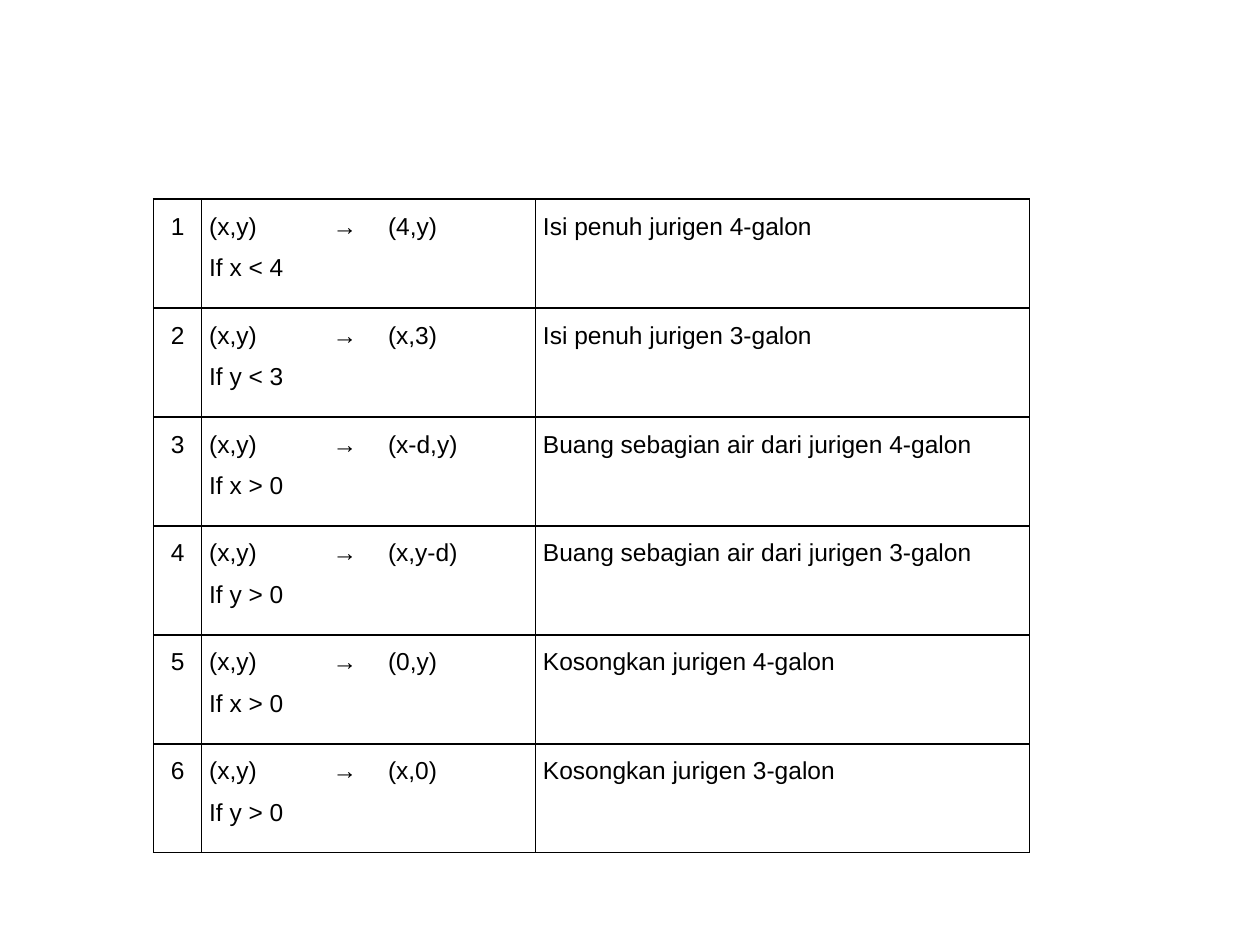
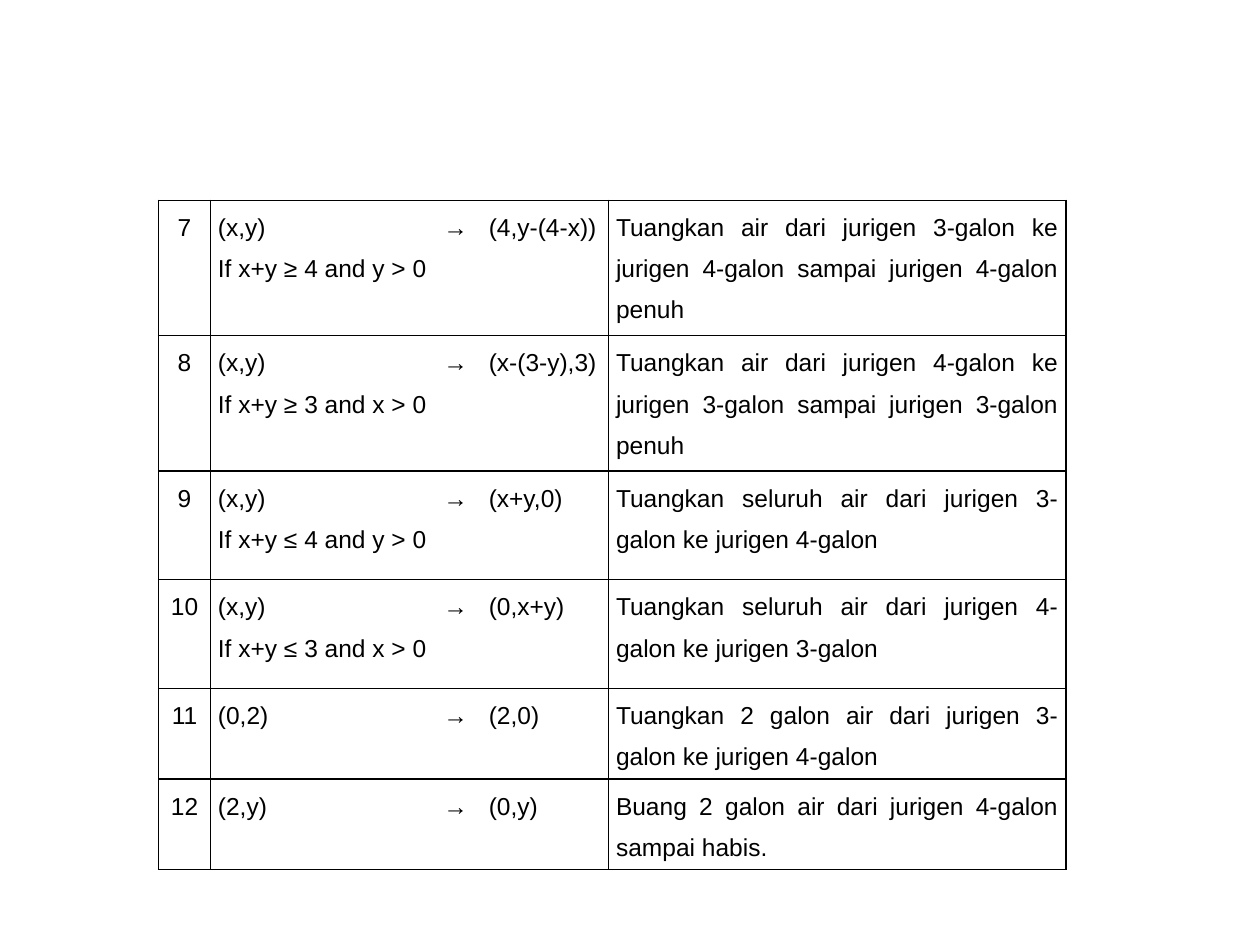
from dataclasses import dataclass

import pptx
import pptx.dml.color
import pptx.enum.text
import pptx.oxml
import pptx.oxml.ns
import pptx.util
from lxml import etree


@dataclass(frozen=True)
class Theme:
    font: str = "Arial"
    size: int = 14
    ink: str = "000000"
    paper: str = "FFFFFF"
    border: float = 1
    line_spacing: float = 1.5
    cell_margin: float = 0.06
    number_indent: float = 0.38


THEME = Theme()
ALIGN = pptx.enum.text.PP_ALIGN
NUMBER, STATE, ARROW, RESULT, ACTION = range(5)

# Left, top, column widths and row heights are percentages of the slide.
RULE_SETS = [
    dict(
        left=12.2, top=21.07,
        columns=[3.8, 9.8, 4.4, 12.3, 39.2],
        rows=[11.53] * 6,
        rules=[
            ("1", "(x,y)", "If x < 4", "(4,y)", "Isi penuh jurigen 4-galon"),
            ("2", "(x,y)", "If y < 3", "(x,3)", "Isi penuh jurigen 3-galon"),
            ("3", "(x,y)", "If x > 0", "(x-d,y)", "Buang sebagian air dari jurigen 4-galon"),
            ("4", "(x,y)", "If y > 0", "(x,y-d)", "Buang sebagian air dari jurigen 3-galon"),
            ("5", "(x,y)", "If x > 0", "(0,y)", "Kosongkan jurigen 4-galon"),
            ("6", "(x,y)", "If y > 0", "(x,0)", "Kosongkan jurigen 3-galon"),
        ],
    ),
    dict(
        left=12.6, top=21.2,
        columns=[4.1, 17.9, 3.6, 10.1, 36.3],
        rows=[14.33, 14.33, 11.5, 11.5, 9.6, 9.6],
        rules=[
            ("7", "(x,y)", "If x+y ≥ 4 and y > 0", "(4,y-(4-x))",
             "Tuangkan air dari jurigen 3-galon ke jurigen 4-galon sampai jurigen 4-galon penuh"),
            ("8", "(x,y)", "If x+y ≥ 3 and x > 0", "(x-(3-y),3)",
             "Tuangkan air dari jurigen 4-galon ke jurigen 3-galon sampai jurigen 3-galon penuh"),
            ("9", "(x,y)", "If x+y ≤ 4 and y > 0", "(x+y,0)",
             "Tuangkan seluruh air dari jurigen 3-galon ke jurigen 4-galon"),
            ("10", "(x,y)", "If x+y ≤ 3 and x > 0", "(0,x+y)",
             "Tuangkan seluruh air dari jurigen 4-galon ke jurigen 3-galon"),
            ("11", "(0,2)", None, "(2,0)",
             "Tuangkan 2 galon air dari jurigen 3-galon ke jurigen 4-galon"),
            ("12", "(2,y)", None, "(0,y)",
             "Buang 2 galon air dari jurigen 4-galon sampai habis."),
        ],
    ),
]


def set_borders(cell, open_sides):
    """Draw the four cell borders, leaving out the sides named in open_sides."""
    properties = cell._tc.get_or_add_tcPr()
    for position, side in enumerate("LRTB"):
        line = pptx.oxml.parse_xml(
            f'<a:ln{side} {pptx.oxml.ns.nsdecls("a")} w="{pptx.util.Pt(THEME.border)}"/>')
        if side in open_sides:
            etree.SubElement(line, pptx.oxml.ns.qn("a:noFill"))
        else:
            fill = etree.SubElement(line, pptx.oxml.ns.qn("a:solidFill"))
            etree.SubElement(fill, pptx.oxml.ns.qn("a:srgbClr"), val=THEME.ink)
        properties.insert(position, line)


def write_cell(cell, lines, column):
    cell.fill.background()
    cell.margin_left = cell.margin_right = pptx.util.Inches(THEME.cell_margin)
    cell.margin_top = cell.margin_bottom = 0
    for index, text in enumerate(lines):
        frame = cell.text_frame
        paragraph = frame.add_paragraph() if index else frame.paragraphs[0]
        paragraph.line_spacing = THEME.line_spacing
        paragraph.alignment = ALIGN.JUSTIFY
        if column == NUMBER:
            paragraph.alignment = ALIGN.CENTER
            indent = pptx.util.Inches(THEME.number_indent)
            paragraph._p.get_or_add_pPr().set("marL", str(indent))
            paragraph._p.get_or_add_pPr().set("indent", str(-indent))
        run = paragraph.add_run()
        run.text = text
        run.font.name = THEME.font
        run.font.size = pptx.util.Pt(THEME.size)
        run.font.bold = False
        run.font.color.rgb = pptx.dml.color.RGBColor.from_string(THEME.ink)


deck = pptx.Presentation()
deck.slide_width = pptx.util.Inches(10)
deck.slide_height = pptx.util.Inches(7.5)
column_unit = deck.slide_width / 100
row_unit = deck.slide_height / 100
blank_layout = deck.slide_layouts[6]
# The state, arrow and result columns read as one box without inner rules.
OPEN_SIDES = {STATE: "R", ARROW: "LR", RESULT: "L"}

for rule_set in RULE_SETS:
    slide = deck.slides.add_slide(blank_layout)
    slide.background.fill.solid()
    slide.background.fill.fore_color.rgb = pptx.dml.color.RGBColor.from_string(THEME.paper)

    columns, rows = rule_set["columns"], rule_set["rows"]
    rule_table = slide.shapes.add_table(
        len(rows), len(columns),
        int(rule_set["left"] * column_unit), int(rule_set["top"] * row_unit),
        int(sum(columns) * column_unit), int(sum(rows) * row_unit)).table
    rule_table.first_row = rule_table.horz_banding = False
    for column, width in enumerate(columns):
        rule_table.columns[column].width = int(width * column_unit)

    for row, (number, state, condition, result, action) in enumerate(rule_set["rules"]):
        rule_table.rows[row].height = int(rows[row] * row_unit)
        state_lines = [state, condition] if condition else [state]
        contents = [[number], state_lines, ["→"], [result], [action]]
        for column, lines in enumerate(contents):
            cell = rule_table.cell(row, column)
            write_cell(cell, lines, column)
            set_borders(cell, OPEN_SIDES.get(column, ""))

deck.save("out.pptx")
